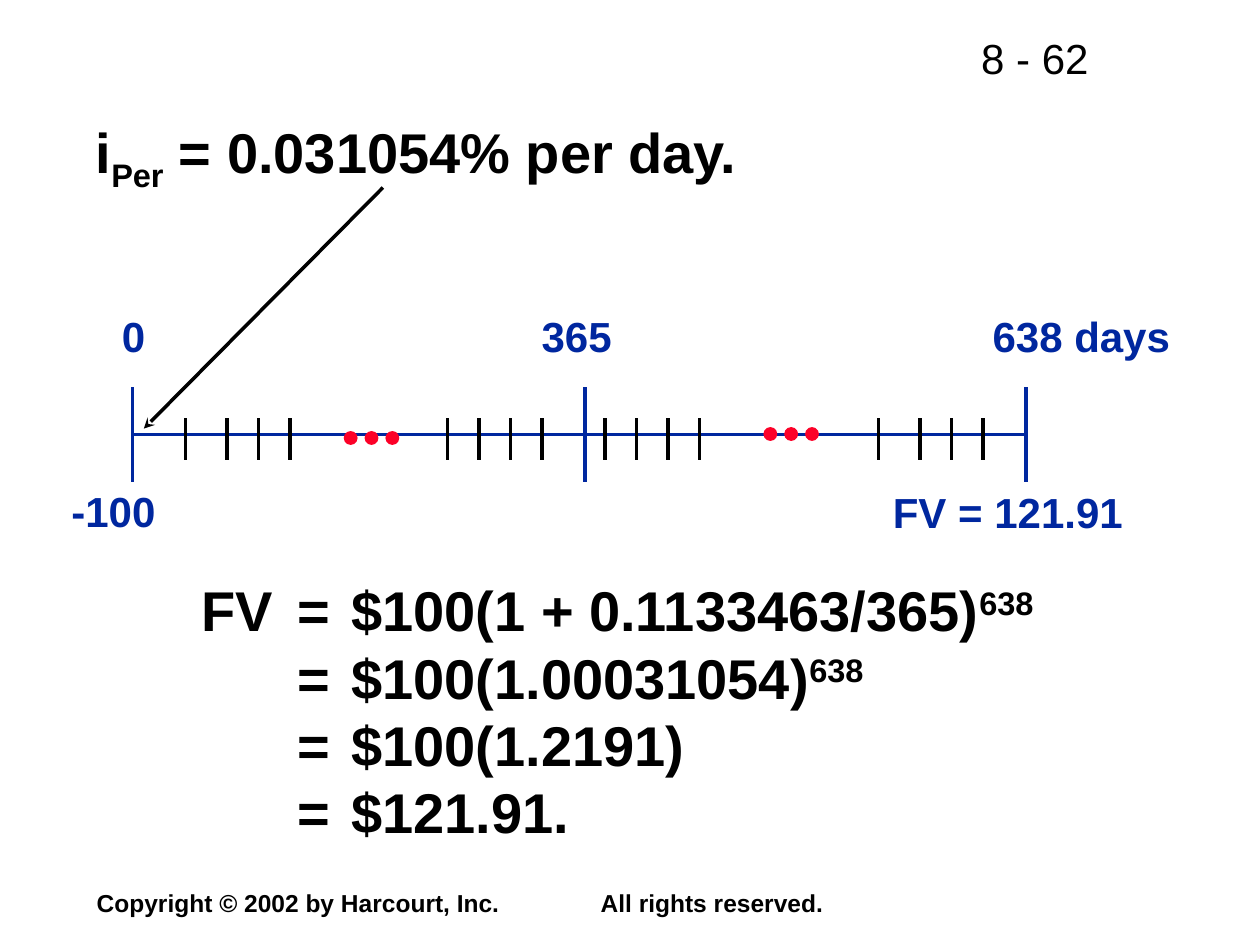
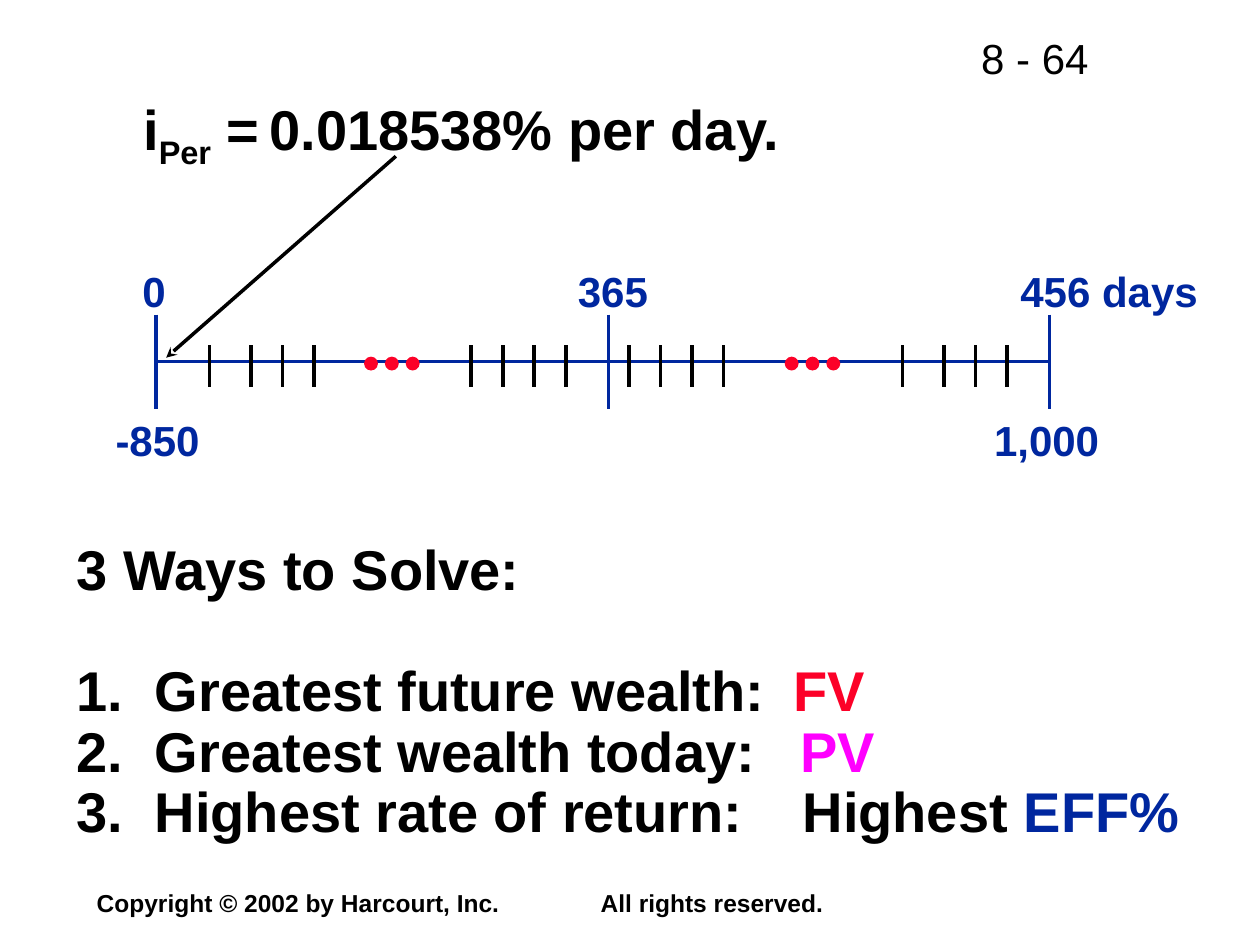
from lxml import etree
from pptx import Presentation
from pptx import util as u
from pptx.dml.color import RGBColor
from pptx.enum import shapes, text
from pptx.oxml import ns

FONT = "Arial"
BLACK, BLUE, RED, MAGENTA = "000000", "00279F", "FC0128", "FF00FF"

# Timeline geometry in cm, measured from the left end and the axis
TICK_STEP = 0.635
TICK_RUNS = [(1.07, 1), (1.91, 3), (6.35, 4), (9.53, 4), (15.04, 1), (15.88, 3)]
MAJOR_MARKS = [0, 9.12, 18.01]
MAJOR_HALF = 0.95
TICK_ABOVE, TICK_BELOW = 0.33, 0.51
DOT_SIZE, DOT_STEP, DOT_COUNT = 0.28, 0.42, 3

SUBSCRIPT = {"baseline": -25000}
SUPERSCRIPT = {"baseline": 30000}


def colour(value):
    return RGBColor.from_string(value)


def add_child(parent, tag, **attributes):
    return etree.SubElement(parent, ns.qn(tag), attributes)


def set_tabs(paragraph, stops):
    """Add left tab stops, given in cm."""
    tab_list = add_child(paragraph._p.get_or_add_pPr(), "a:tabLst")
    for stop in stops:
        add_child(tab_list, "a:tab", pos=str(int(u.Cm(stop))), algn="l")


def add_run(paragraph, content, style):
    run = paragraph.add_run()
    run.text = content
    font_values = {"name": FONT, "size": u.Pt(style["size"]),
                   "bold": style.get("bold", True)}
    for name, value in font_values.items():
        setattr(run.font, name, value)
    run.font.color.rgb = colour(style.get("colour", BLACK))
    if "baseline" in style:
        run._r.get_or_add_rPr().set("baseline", str(style["baseline"]))


def fill_text(shape, box, lines, anchor=text.MSO_ANCHOR.TOP, **style):
    """Place a shape and write lines of (runs, tabs, paragraph format)."""
    for name, value in zip(("left", "top", "width", "height"), box):
        setattr(shape, name, u.Cm(value))
    frame = shape.text_frame
    frame_values = {"word_wrap": False, "auto_size": text.MSO_AUTO_SIZE.NONE,
                    "vertical_anchor": anchor,
                    "margin_left": u.Cm(0.25), "margin_right": u.Cm(0.25),
                    "margin_top": u.Cm(0.13), "margin_bottom": u.Cm(0.13)}
    for name, value in frame_values.items():
        setattr(frame, name, value)
    for index, (runs, tabs, paragraph_format) in enumerate(lines):
        paragraph = frame.add_paragraph() if index else frame.paragraphs[0]
        if tabs:
            set_tabs(paragraph, tabs)
        paragraph.alignment = text.PP_ALIGN.LEFT
        for name, value in paragraph_format.items():
            setattr(paragraph, name, value)
        for content, run_style in runs:
            add_run(paragraph, content, {**style, **run_style})


def add_text(slide, box, lines, **options):
    shape = slide.shapes.add_textbox(0, 0, 0, 0)
    fill_text(shape, box, lines, **options)


def add_label(slide, box, content, **options):
    add_text(slide, box, [([(content, {})], [], {})], **options)


def add_line(slide, start, end, line_colour, arrow=False):
    points = [u.Cm(value) for value in (*start, *end)]
    line = slide.shapes.add_connector(shapes.MSO_CONNECTOR.STRAIGHT, *points)
    line.line.color.rgb = colour(line_colour)
    line.line.width = u.Pt(2)
    if arrow:
        add_child(line.line._get_or_add_ln(), "a:tailEnd", type="stealth")
    add_child(line._element.spPr, "a:effectLst")


def add_dots(slide, left, top):
    group = slide.shapes.add_group_shape()
    for index in range(DOT_COUNT):
        dot = group.shapes.add_shape(
            shapes.MSO_SHAPE.OVAL, u.Cm(left + index * DOT_STEP), u.Cm(top),
            u.Cm(DOT_SIZE), u.Cm(DOT_SIZE))
        dot.shadow.inherit = False
        dot.fill.solid()
        dot.fill.fore_color.rgb = colour(RED)
        dot.line.fill.background()


def add_timeline(slide, left, axis, arrow, dots, labels):
    # Axis and major marks
    for mark in MAJOR_MARKS:
        add_line(slide, (left + mark, axis - MAJOR_HALF),
                 (left + mark, axis + MAJOR_HALF), BLUE)
    add_line(slide, (left, axis), (left + MAJOR_MARKS[-1], axis), BLUE)
    # Day ticks
    for start, count in TICK_RUNS:
        for index in range(count):
            x = left + start + index * TICK_STEP
            add_line(slide, (x, axis - TICK_ABOVE), (x, axis + TICK_BELOW), BLACK)
    # Rate arrow, ellipsis dots and labels
    add_line(slide, *arrow, BLACK, arrow=True)
    for dot_left, dot_top in dots:
        add_dots(slide, dot_left, dot_top)
    for content, label_left, label_top, width in labels:
        add_label(slide, (label_left, label_top, width, 1.27), content,
                  size=24, colour=BLUE)


def add_page(presentation, number, title_box, rate, tabs=()):
    """Start a slide with its rate title, page number and copyright line."""
    slide = presentation.slides.add_slide(presentation.slide_layouts[5])
    title_runs = [("i", {}), ("Per", SUBSCRIPT), (rate, {})]
    fill_text(slide.shapes.title, title_box, [(title_runs, tabs, {})], size=32)
    add_label(slide, (19.53, 0.53, 5.59, 1.27), number, size=24, bold=False)
    copyright_runs = [("Copyright © 2002 by Harcourt, Inc.\tAll rights reserved.", {})]
    add_text(slide, (1.7, 17.78, 22.02, 0.84), [(copyright_runs, [10.16], {})],
             anchor=text.MSO_ANCHOR.MIDDLE, size=14)
    return slide


def build_future_value(presentation):
    slide = add_page(presentation, "8 - 62", (1.68, 2.24, 13.54, 1.8),
                     " = 0.031054% per day.")
    add_timeline(
        slide, 2.67, 8.76,
        arrow=((7.72, 3.78), (2.9, 8.64)),
        dots=[(6.93, 8.69), (15.39, 8.61)],
        labels=[("0", 2.21, 6.12, 0.99), ("365", 10.67, 6.12, 1.93),
                ("638 days", 19.76, 6.12, 4.09), ("-100", 1.19, 9.65, 2.21),
                ("FV = 121.91", 17.75, 9.68, 5.16)])
    # Aligned equation steps
    steps = [("FV\t=\t$100(1 + 0.1133463/365)", "638"),
             ("\t=\t$100(1.00031054)", "638"),
             ("\t=\t$100(1.2191)", ""),
             ("\t=\t$121.91.", "")]
    lines = []
    for step, exponent in steps:
        runs = [(step, {})] + ([(exponent, SUPERSCRIPT)] if exponent else [])
        lines.append((runs, [1.93, 3.02], {}))
    add_text(slide, (3.81, 11.48, 17.75, 5.69), lines, size=32)


def build_ways_to_solve(presentation):
    slide = add_page(presentation, "8 - 64", (2.64, 1.78, 13.41, 1.8),
                     " =\t0.018538% per day.", [2.54])
    add_timeline(
        slide, 3.15, 7.29,
        arrow=((7.98, 3.15), (3.35, 7.21)),
        dots=[(7.34, 7.19), (15.82, 7.19)],
        labels=[("0", 2.62, 5.23, 0.99), ("365", 11.4, 5.23, 1.93),
                ("456 days", 20.32, 5.23, 4.09), ("-850", 2.08, 8.23, 2.21),
                ("1,000", 19.79, 8.23, 2.64)])
    # Heading and numbered list
    ways = [("1.\tGreatest future wealth:\t", "FV", RED, 14.45),
            ("2.\tGreatest wealth today:\t", "PV", MAGENTA, 14.58),
            ("3.\tHighest rate of return:\tHighest ", "EFF%", BLUE, 14.63)]
    spacing = {"line_spacing": 0.9}
    lines = [([("3 Ways to Solve:", {})], [], spacing)]
    for index, (way, measure, measure_colour, stop) in enumerate(ways):
        gap = {} if index else {"space_before": u.Pt(34.6)}
        runs = [(way, {}), (measure, {"colour": measure_colour})]
        lines.append((runs, [1.57, stop], {**spacing, **gap}))
    add_text(slide, (1.3, 10.8, 22.81, 6.35), lines, size=32)


def main():
    presentation = Presentation()
    presentation.slide_width = u.Cm(25.4)
    presentation.slide_height = u.Cm(19.05)
    build_future_value(presentation)
    build_ways_to_solve(presentation)
    presentation.save("out.pptx")


if __name__ == "__main__":
    main()
